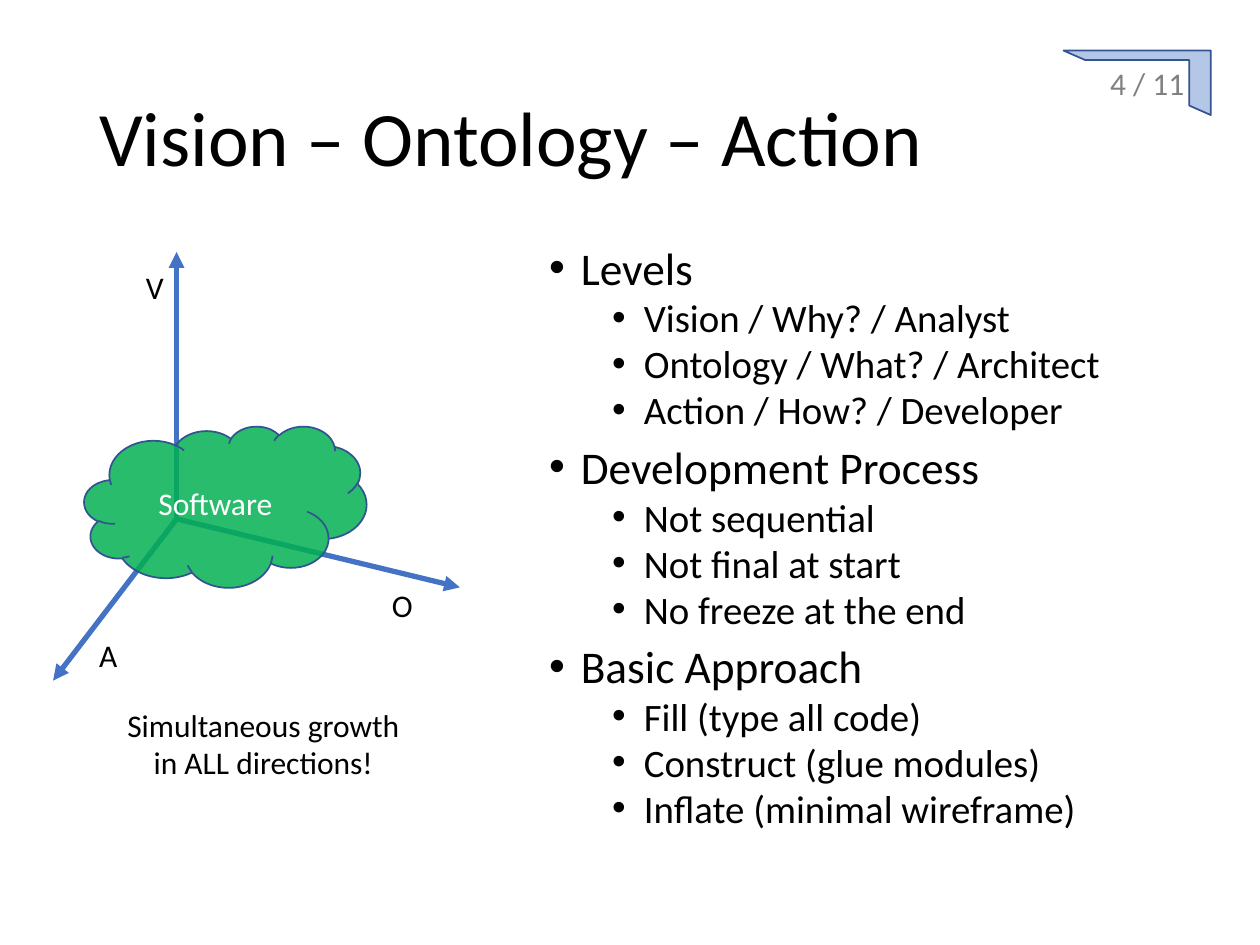
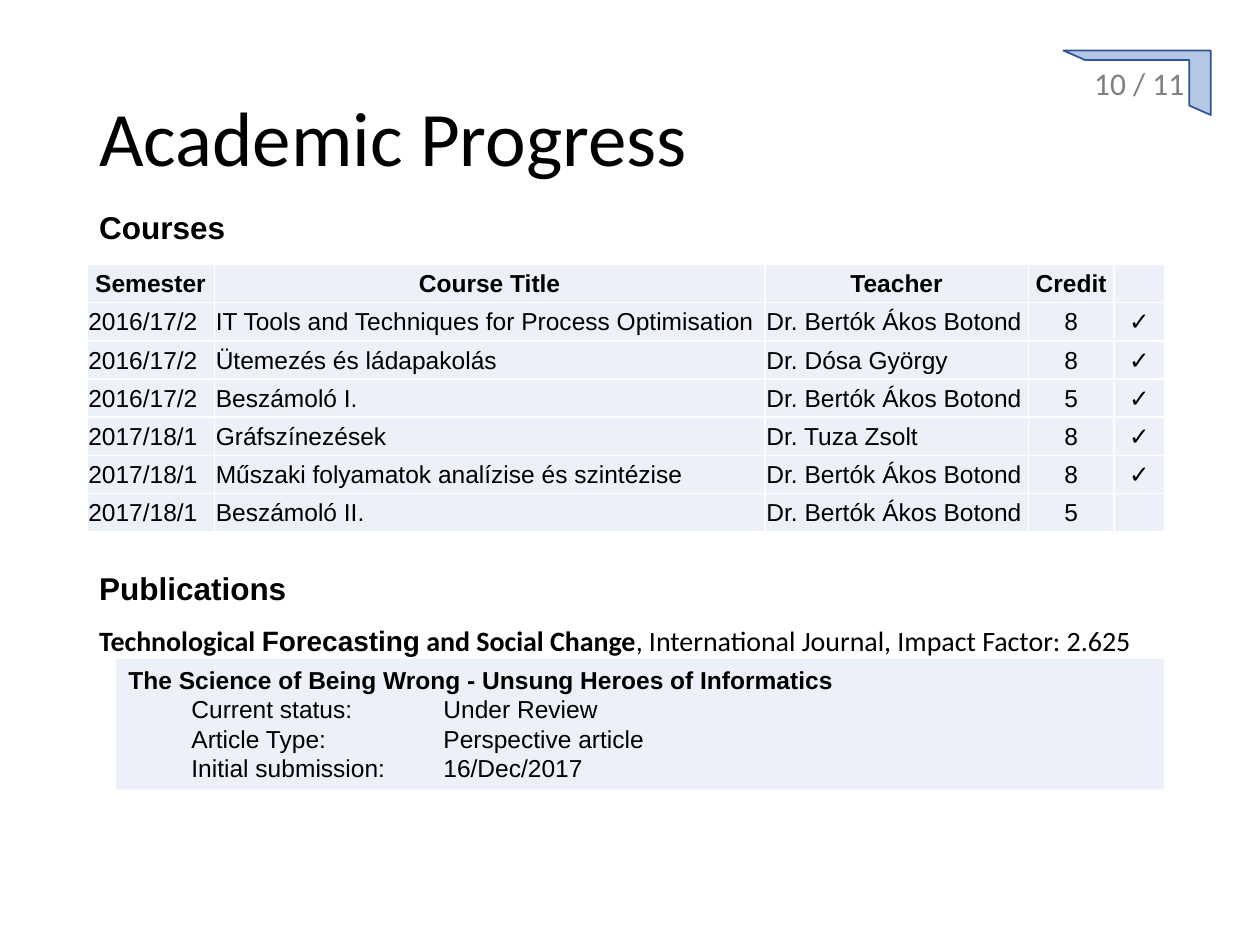
from dataclasses import dataclass
from typing import Any, Optional

import lxml.etree
import pptx
import pptx.dml.color
import pptx.enum.shapes
import pptx.enum.text
import pptx.oxml.ns
import pptx.util

Cm = pptx.util.Cm
Pt = pptx.util.Pt
Align = pptx.enum.text.PP_ALIGN
Anchor = pptx.enum.text.MSO_ANCHOR
AutoSize = pptx.enum.text.MSO_AUTO_SIZE
Preset = pptx.enum.shapes.MSO_SHAPE
qualified = pptx.oxml.ns.qn


@dataclass(frozen=True)
class Theme:
    heading_font: str = "Calibri"
    data_font: str = "Arial"
    black: str = "000000"
    white: str = "FFFFFF"
    gray: str = "808080"
    axis: str = "4472C4"
    outline: str = "325491"
    pale_blue: str = "B4C7E7"
    green: str = "00B050"
    title_size: float = 44
    level_sizes: tuple[float, float] = (25.9, 22.2)
    label_size: float = 18
    journal_size: float = 16
    data_size: float = 14
    tint: int = 25


THEME = Theme()


@dataclass(frozen=True)
class Area:
    left: float
    top: float
    width: float
    height: float

    def lengths(self) -> tuple[Any, ...]:
        return Cm(self.left), Cm(self.top), Cm(self.width), Cm(self.height)


@dataclass(frozen=True)
class TextStyle:
    size: float = THEME.label_size
    font: str = THEME.heading_font
    color: str = THEME.black
    bold: bool = False
    align: Any = Align.LEFT


@dataclass(frozen=True)
class Axis:
    letter: str
    end_x: float
    end_y: float
    label: Area


@dataclass(frozen=True)
class Topic:
    name: str
    points: tuple[str, ...]


@dataclass(frozen=True)
class Column:
    heading: str
    width: float
    align: Any = Align.LEFT


@dataclass(frozen=True)
class Section:
    name: str
    area: Area


TITLE = Area(1.75, 1.02, 21.9, 3.68)
BADGE = Area(21.44, 1.02, 2.97, 1.3)
PAGE_COUNT = 11
ORIGIN = (3.56, 10.46)
AXES = (
    Axis("V", 3.56, 5.08, Area(2.69, 5.28, 0.89, 1.02)),
    Axis("O", 9.27, 11.84, Area(7.65, 11.68, 0.94, 1.02)),
    Axis("A", 1.07, 13.72, Area(1.75, 12.7, 0.89, 1.02)),
)
TOPICS = (
    Topic("Levels", ("Vision / Why? / Analyst", "Ontology / What? / Architect",
                     "Action / How? / Developer")),
    Topic("Development Process", ("Not sequential", "Not final at start",
                                  "No freeze at the end")),
    Topic("Basic Approach", ("Fill (type all code)", "Construct (glue modules)",
                             "Inflate (minimal wireframe)")),
)
COLUMNS = (
    Column("Semester", 2.57),
    Column("Course Title", 11.1),
    Column("Teacher", 5.31),
    Column("Credit", 1.73, Align.CENTER),
    Column("", 1.02, Align.CENTER),
)
COURSES = (
    ("2016/17/2", "IT Tools and Techniques for Process Optimisation",
     "Dr. Bertók Ákos Botond", "8", "✓"),
    ("2016/17/2", "Ütemezés és ládapakolás", "Dr. Dósa György", "8", "✓"),
    ("2016/17/2", "Beszámoló I.", "Dr. Bertók Ákos Botond", "5", "✓"),
    ("2017/18/1", "Gráfszínezések", "Dr. Tuza Zsolt", "8", "✓"),
    ("2017/18/1", "Műszaki folyamatok analízise és szintézise",
     "Dr. Bertók Ákos Botond", "8", "✓"),
    ("2017/18/1", "Beszámoló II.", "Dr. Bertók Ákos Botond", "5", ""),
)
ROW_HEIGHT = 0.77
SECTIONS = (
    Section("Courses", Area(1.75, 4.06, 3.07, 1.02)),
    Section("Publications", Area(1.75, 11.35, 4.32, 1.02)),
)
ARTICLE = (
    "The Science of Being Wrong - Unsung Heroes of Informatics",
    "\tCurrent status:\tUnder Review",
    "\tArticle Type:\tPerspective article",
    "\tInitial submission:\t16/Dec/2017",
)
ARTICLE_TABS = (1.27, 6.35)


def rgb(color: str) -> Any:
    return pptx.dml.color.RGBColor.from_string(color)


def add_xml(parent: Any, tag: str, **attributes: str) -> Any:
    return lxml.etree.SubElement(parent, qualified(tag), attributes)


def format_span(span: Any, style: TextStyle) -> None:
    span.font.size = Pt(style.size)
    span.font.name = style.font
    span.font.bold = style.bold
    span.font.color.rgb = rgb(style.color)


def format_para(para: Any, style: TextStyle) -> None:
    para.alignment = style.align
    for span in para.runs:
        format_span(span, style)


def write(frame: Any, text: str, style: TextStyle) -> None:
    frame.text = text
    for para in frame.paragraphs:
        format_para(para, style)


def fill_solid(fill: Any, color: str, opacity: int = 100) -> None:
    fill.solid()
    fill.fore_color.rgb = rgb(color)
    if opacity < 100:
        color_node = fill._xPr.find(qualified("a:solidFill"))[0]
        add_xml(color_node, "a:alpha", val=str(opacity * 1000))


def add_text(page: Any, area: Area, text: str, style: TextStyle,
             wrap: bool = True, grow: bool = False) -> Any:
    box = page.shapes.add_textbox(*area.lengths())
    box.text_frame.word_wrap = wrap
    if grow:
        box.text_frame.auto_size = AutoSize.SHAPE_TO_FIT_TEXT
    write(box.text_frame, text, style)
    return box


def add_panel(page: Any, preset: Any, area: Area, text: str, style: TextStyle,
              color: str, opacity: int = 100, outline: Optional[str] = None) -> Any:
    panel = page.shapes.add_shape(preset, *area.lengths())
    panel.shadow.inherit = False
    fill_solid(panel.fill, color, opacity)
    if outline:
        panel.line.color.rgb = rgb(outline)
        panel.line.width = Pt(1)
    else:
        panel.line.fill.background()
    panel.text_frame.vertical_anchor = Anchor.MIDDLE
    write(panel.text_frame, text, style)
    return panel


def add_page(deck: Any, title: str, number: int) -> Any:
    page = deck.slides.add_slide(deck.slide_layouts[6])
    frame = add_text(page, TITLE, title, TextStyle(THEME.title_size)).text_frame
    frame.vertical_anchor = Anchor.MIDDLE
    frame.paragraphs[0].line_spacing = 0.9
    badge = add_panel(page, Preset.HALF_FRAME, BADGE, f"{number} / {PAGE_COUNT}",
                      TextStyle(color=THEME.gray, align=Align.RIGHT),
                      THEME.pale_blue, outline=THEME.outline)
    badge.adjustments[0] = 0.147
    badge.adjustments[1] = 0.333
    badge._element.spPr.xfrm.set("flipH", "1")
    badge.text_frame.margin_right = Cm(0.53)
    return page


def add_axis(page: Any, axis: Axis) -> None:
    arrow = page.shapes.add_connector(
        pptx.enum.shapes.MSO_CONNECTOR.STRAIGHT,
        *(Cm(value) for value in (*ORIGIN, axis.end_x, axis.end_y)))
    arrow.line.color.rgb = rgb(THEME.axis)
    arrow.line.width = Pt(3)
    add_xml(arrow.line._get_or_add_ln(), "a:tailEnd", type="triangle")
    add_xml(arrow._element.spPr, "a:effectLst")


def add_topics(page: Any, area: Area) -> None:
    lines = [(level, text) for topic in TOPICS
             for level, text in ((0, topic.name), *((1, point) for point in topic.points))]
    box = add_text(page, area, "\n".join(text for _, text in lines), TextStyle())
    for para, (level, _) in zip(box.text_frame.paragraphs, lines):
        format_para(para, TextStyle(THEME.level_sizes[level]))
        para.level = level
        para.line_spacing = 0.8
        para.space_before = Pt((10, 5)[level])
        properties = para._p.get_or_add_pPr()
        properties.set("marL", str(Cm((0.64, 1.91)[level])))
        properties.set("indent", str(-Cm(0.64)))
        add_xml(properties, "a:buFont", typeface=THEME.data_font)
        add_xml(properties, "a:buChar", char="•")


def format_cell(cell: Any, text: str, style: TextStyle) -> None:
    write(cell.text_frame, text, style)
    if not text:
        add_xml(cell.text_frame.paragraphs[0]._p, "a:endParaRPr",
                sz=str(style.size * 100))
    cell.vertical_anchor = Anchor.MIDDLE
    cell.margin_left = cell.margin_right = cell.margin_top = Cm(0.03)
    cell.margin_bottom = Cm(0)
    fill_solid(cell.fill, THEME.pale_blue, THEME.tint)
    properties = cell._tc.get_or_add_tcPr()
    for position, side in enumerate(("a:lnL", "a:lnR", "a:lnT", "a:lnB")):
        border = add_xml(properties, side, w=str(Pt(1)))
        add_xml(add_xml(border, "a:solidFill"), "a:srgbClr", val=THEME.white)
        properties.insert(position, border)


def add_courses(page: Any) -> None:
    rows = (tuple(column.heading for column in COLUMNS), *COURSES)
    area = Area(1.75, 5.33, sum(column.width for column in COLUMNS),
                ROW_HEIGHT * len(rows))
    table = page.shapes.add_table(len(rows), len(COLUMNS), *area.lengths()).table
    table.first_row = table.horz_banding = False
    for index, column in enumerate(COLUMNS):
        table.columns[index].width = Cm(column.width)
    for row_index, row in enumerate(rows):
        table.rows[row_index].height = Cm(ROW_HEIGHT)
        heading = row_index == 0
        for index, (column, text) in enumerate(zip(COLUMNS, row)):
            align = Align.CENTER if heading else column.align
            format_cell(table.cell(row_index, index), text,
                        TextStyle(THEME.data_size, THEME.data_font,
                                  bold=heading, align=align))


def add_journal(page: Any) -> None:
    spans = (
        ("Technological ", THEME.heading_font, True),
        ("Forecasting", THEME.data_font, True),
        (" and Social Change", THEME.heading_font, True),
        (", International Journal, Impact Factor: 2.625", THEME.heading_font, False),
    )
    box = add_text(page, Area(1.75, 12.45, 21.72, 0.94), "", TextStyle(), grow=True)
    for text, font, bold in spans:
        span = box.text_frame.paragraphs[0].add_run()
        span.text = text
        format_span(span, TextStyle(THEME.journal_size, font, bold=bold))


def add_article(page: Any) -> None:
    style = TextStyle(THEME.data_size, THEME.data_font)
    panel = add_panel(page, Preset.RECTANGLE, Area(2.34, 13.28, 21.13, 2.64),
                      "\n".join(ARTICLE), style, THEME.pale_blue, THEME.tint)
    panel.text_frame.vertical_anchor = Anchor.TOP
    heading, *details = panel.text_frame.paragraphs
    heading.runs[0].font.bold = True
    for para in details:
        tabs = add_xml(para._p.get_or_add_pPr(), "a:tabLst")
        for stop in ARTICLE_TABS:
            add_xml(tabs, "a:tab", pos=str(Cm(stop)), algn="l")


def build_vision(deck: Any) -> None:
    page = add_page(deck, "Vision – Ontology – Action", 4)
    add_topics(page, Area(10.82, 4.93, 12.85, 12.24))
    for axis in AXES:
        add_axis(page, axis)
    add_panel(page, Preset.CLOUD, Area(1.7, 8.59, 5.69, 3.25), "Software",
              TextStyle(color=THEME.white, align=Align.CENTER),
              THEME.green, 84, THEME.outline)
    for axis in AXES:
        add_text(page, axis.label, axis.letter, TextStyle(), wrap=False, grow=True)
    add_text(page, Area(2.06, 14.1, 6.5, 1.8), "Simultaneous growth in ALL directions!",
             TextStyle(align=Align.CENTER), grow=True)


def build_progress(deck: Any) -> None:
    page = add_page(deck, "Academic Progress", 10)
    add_courses(page)
    for section in SECTIONS:
        add_text(page, section.area, section.name,
                 TextStyle(font=THEME.data_font, bold=True), wrap=False, grow=True)
    add_journal(page)
    add_article(page)


def main() -> None:
    deck = pptx.Presentation()
    deck.slide_width, deck.slide_height = Cm(25.4), Cm(19.05)
    build_vision(deck)
    build_progress(deck)
    deck.save("out.pptx")


if __name__ == "__main__":
    main()
